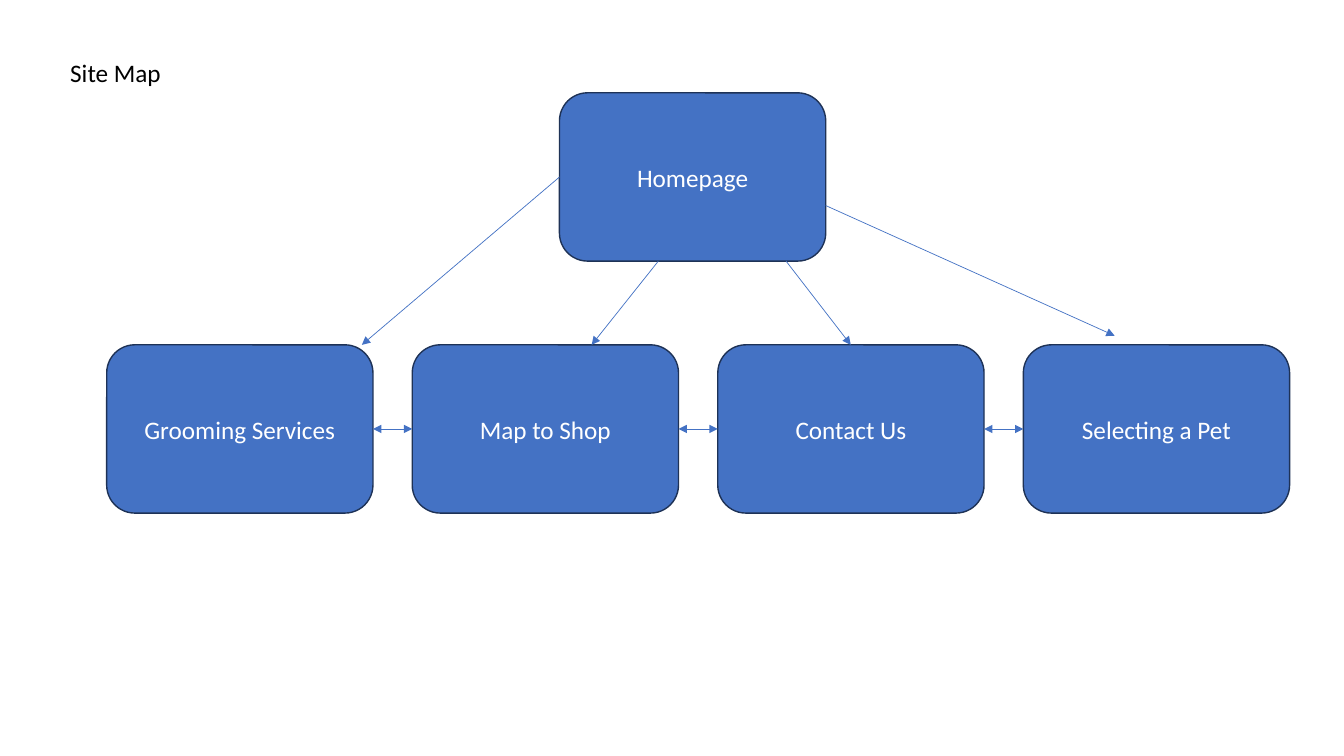
from dataclasses import dataclass

from lxml.etree import SubElement as Sub
from pptx import Presentation
from pptx.dml.color import RGBColor as RGB
from pptx.enum.shapes import MSO_CONNECTOR as LINK, MSO_SHAPE as SHAPE
from pptx.enum.text import MSO_ANCHOR as ANCHOR, MSO_AUTO_SIZE as AUTO, PP_ALIGN as ALIGN
from pptx.oxml.ns import qn
from pptx.util import Cm, Pt


@dataclass(frozen=True)
class Theme:
    font: str = "Calibri"
    size: Pt = Pt(18)
    ink: RGB = RGB(0, 0, 0)
    white: RGB = RGB(255, 255, 255)
    blue: RGB = RGB(0x44, 0x72, 0xC4)
    edge: RGB = RGB(0x1E, 0x32, 0x56)


theme = Theme()
WIDE, HIGH = 6.71, 4.24
HOME_X, HOME_Y = 14.1, 2.34
ROW_X, ROW_Y, STEP = 2.69, 8.69, 7.7


def write(shape, text, color):
    para = shape.text_frame.paragraphs[0]
    para.text = text
    para.font.name = theme.font
    para.font.size = theme.size
    para.font.color.rgb = color
    return para


def arrow(x1, y1, x2, y2, ends=("tailEnd",)):
    link = slide.shapes.add_connector(LINK.STRAIGHT, Cm(x1), Cm(y1), Cm(x2), Cm(y2))
    link.line.color.rgb = theme.blue
    link.line.width = Pt(0.5)
    for end in ends:
        Sub(link.line._get_or_add_ln(), qn("a:" + end), type="triangle")
    Sub(link._element.spPr, qn("a:effectLst"))


deck = Presentation()
deck.slide_width, deck.slide_height = Cm(33.87), Cm(19.05)
slide = deck.slides.add_slide(deck.slide_layouts[6])

# Title
title = slide.shapes.add_textbox(Cm(1.52), Cm(1.32), Cm(2.82), Cm(1.02))
title.text_frame.word_wrap = False
title.text_frame.auto_size = AUTO.SHAPE_TO_FIT_TEXT
write(title, "Site Map", theme.ink)

# Pages: home above a row of four
names = ["Grooming Services", "Map to Shop", "Contact Us", "Selecting a Pet"]
pages = [("Homepage", HOME_X, HOME_Y)]
pages += [(name, ROW_X + i * STEP, ROW_Y) for i, name in enumerate(names)]
for name, x, y in pages:
    box = slide.shapes.add_shape(SHAPE.ROUNDED_RECTANGLE, Cm(x), Cm(y), Cm(WIDE), Cm(HIGH))
    box.shadow.inherit = False
    box.fill.solid()
    box.fill.fore_color.rgb = theme.blue
    box.line.color.rgb = theme.edge
    box.line.width = Pt(1)
    box.text_frame.word_wrap = True
    box.text_frame.vertical_anchor = ANCHOR.MIDDLE
    write(box, name, theme.white).alignment = ALIGN.CENTER

# Arrows from home down to each page
base = HOME_Y + HIGH
arrow(HOME_X, HOME_Y + HIGH / 2, 9.12, ROW_Y)
arrow(16.59, base, 14.91, ROW_Y)
arrow(19.81, base, 21.44, ROW_Y)
arrow(HOME_X + WIDE, 5.18, 28.09, 8.46)

# Two-way arrows between neighbours
mid = ROW_Y + HIGH / 2
for i in range(len(names) - 1):
    left = ROW_X + i * STEP
    arrow(left + WIDE, mid, left + STEP, mid, ("headEnd", "tailEnd"))

deck.save("out.pptx")
